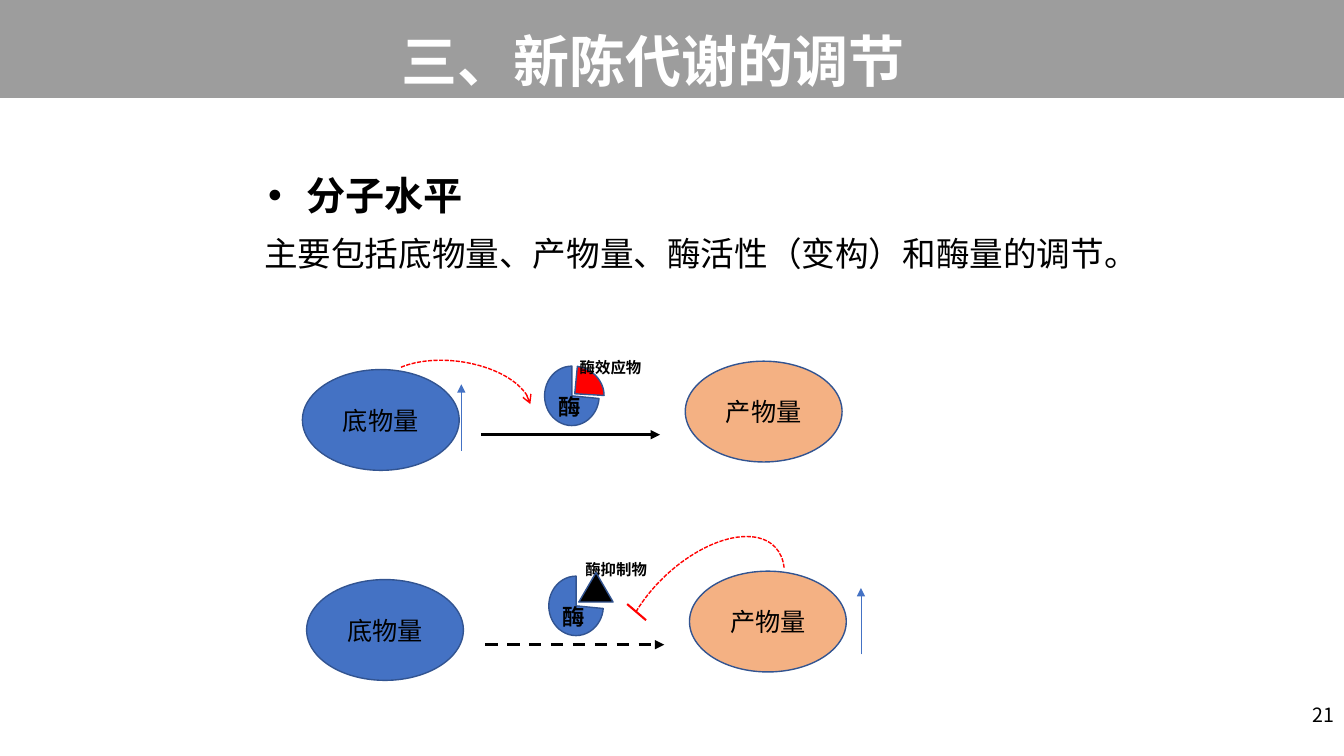
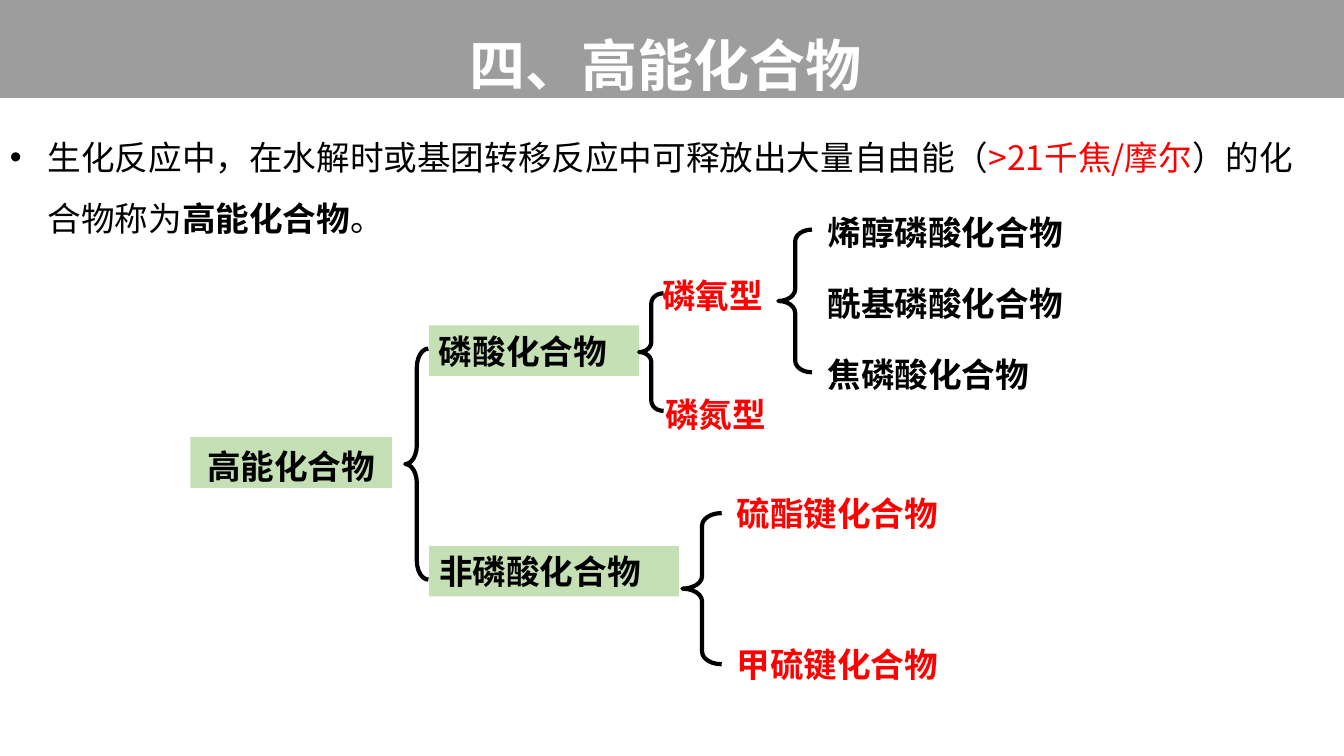
from lxml import etree
from pptx import Presentation
from pptx import util as u
from pptx.dml import color
from pptx.enum import dml, shapes, text
from pptx.oxml import ns

Pt = u.Pt
SHAPE = shapes.MSO_SHAPE
ALIGN = text.PP_ALIGN
ANCHOR = text.MSO_ANCHOR
DASH = dml.MSO_LINE


class Deck:
    FONT = "Noto Sans CJK SC"
    COLORS = {
        "band": "262626",
        "white": "FFFFFF",
        "black": "000000",
        "red": "FF0000",
        "blue": "4472C4",
        "outline": "325491",
        "orange": "F4B183",
        "green": "C5E0B4",
    }

    def __init__(self):
        self.prs = Presentation()
        self.prs.slide_width, self.prs.slide_height = Pt(960), Pt(540)
        self.layout = self.prs.slide_layouts[5]
        self.s = None

    def rgb(self, name):
        return color.RGBColor.from_string(self.COLORS[name])

    def child(self, parent, tag, **attrs):
        return etree.SubElement(parent, ns.qn(tag), attrs)

    def slide(self, title, left, top, width):
        self.s = self.prs.slides.add_slide(self.layout)
        sp = self.s.shapes.title
        sp.left, sp.top, sp.width, sp.height = Pt(left), Pt(top), Pt(width), Pt(71)
        self.fill_text(sp, title, 40, "white", bold=True, spacing=1.5, wrap=False)

    def band(self):
        sp = self.shape(SHAPE.RECTANGLE, (-0.5, 0, 961, 70), "band")
        fill = sp.element.xpath("p:spPr/a:solidFill/a:srgbClr")[0]
        self.child(fill, "a:alpha", val="45000")
        sp.element.xpath("p:nvSpPr/p:cNvPr")[0].set("id", "20")
        self.layout.shapes.element.insert(2, sp.element)

    def fill_text(self, sp, content, size, ink="black", bold=False, align=ALIGN.LEFT,
                  anchor=ANCHOR.TOP, spacing=1.0, wrap=True, bullet=False):
        tf = sp.text_frame
        tf.word_wrap = wrap
        tf.auto_size = text.MSO_AUTO_SIZE.NONE
        tf.vertical_anchor = anchor
        p = tf.paragraphs[0]
        if bullet:
            pPr = p._p.get_or_add_pPr()
            pPr.set("marL", str(Pt(27)))
            pPr.set("indent", str(Pt(-27)))
            self.child(pPr, "a:buFont", typeface="Arial")
            self.child(pPr, "a:buChar", char="•")
        p.alignment = align
        p.line_spacing = spacing
        parts = [(content, ink, bold)] if isinstance(content, str) else content
        for part, part_ink, part_bold in parts:
            r = p.add_run()
            r.text = part
            r.font.size = Pt(size)
            r.font.bold = part_bold
            r.font.name = self.FONT
            r.font.color.rgb = self.rgb(part_ink)
            self.child(r.font._element, "a:ea", typeface=self.FONT)

    def text(self, box, content, size, **style):
        sp = self.s.shapes.add_textbox(*map(Pt, box))
        self.fill_text(sp, content, size, **style)

    def stroke(self, sp, ink, width, dash=None, head=None):
        sp.line.color.rgb = self.rgb(ink)
        sp.line.width = Pt(width)
        if dash:
            sp.line.dash_style = dash
        if head:
            self.child(sp.element.xpath("p:spPr/a:ln")[0], "a:tailEnd", type=head)

    def shape(self, kind, box, fill=None, line=None, adj=(), rotation=0):
        sp = self.s.shapes.add_shape(kind, *map(Pt, box))
        sp.shadow.inherit = False
        sp.rotation = rotation
        for i, value in enumerate(adj):
            sp.adjustments[i] = value
        if fill:
            sp.fill.solid()
            sp.fill.fore_color.rgb = self.rgb(fill)
        else:
            sp.fill.background()
        if line:
            self.stroke(sp, *line)
        else:
            sp.line.fill.background()
        return sp

    def sector(self, kind, box, start, end, **style):
        return self.shape(kind, box, adj=(start * 0.6, end * 0.6), **style)

    def line(self, start, end, *style):
        sp = self.s.shapes.add_connector(shapes.MSO_CONNECTOR.STRAIGHT,
                                         *map(Pt, (*start, *end)))
        self.stroke(sp, *style)
        self.child(sp.element.spPr, "a:effectLst")

    def oval(self, box, label, fill):
        sp = self.shape(SHAPE.OVAL, box, fill, ("outline", 1))
        self.fill_text(sp, label, 18, align=ALIGN.CENTER, anchor=ANCHOR.MIDDLE)

    def tag(self, box, label, **style):
        sp = self.shape(SHAPE.RECTANGLE, box, "green")
        self.fill_text(sp, label, 24, bold=True, **style)

    def brace(self, box, curve):
        self.shape(SHAPE.LEFT_BRACE, box, line=("black", 3), adj=(curve, 0.5))

    def reaction(self, dx, dy, dash=None):
        self.oval((216 + dx, 264 + dy, 112, 72), "底物量", "blue")
        self.line((343.5 + dx, 310.5 + dy), (471.5 + dx, 310.5 + dy),
                  "black", 2.25, dash, "triangle")
        self.oval((489.5 + dx, 258 + dy, 112, 72), "产物量", "orange")
        self.sector(SHAPE.PIE, (389 + dx, 261.5 + dy, 39, 42.5), 5.55, 270,
                    fill="blue", line=("outline", 1))
        self.text((392 + dx, 277 + dy, 31, 27), "酶", 16, bold=True, wrap=False)

    def rise(self, x, bottom):
        self.line((x, bottom), (x, bottom - 47.5), "blue", 0.5, None, "triangle")


def regulation(deck):
    deck.slide("三、新陈代谢的调节", 279.5, -8.5, 390)
    deck.band()
    deck.text((184.5, 102, 246, 52), "分子水平", 28, bold=True,
              align=ALIGN.JUSTIFY, spacing=1.5, bullet=True)
    deck.text((792, 492, 168, 37), "21", 14, align=ALIGN.RIGHT, anchor=ANCHOR.MIDDLE)
    deck.text((181.5, 162.5, 644.5, 65.5),
              "主要包括底物量、产物量、酶活性（变构）和酶量的调节。", 24, wrap=False)

    deck.reaction(0, 0)
    deck.sector(SHAPE.ARC, (269.5, 258, 110, 57.5), 205.08, 354.48, rotation=7.6,
                line=("red", 1, DASH.SQUARE_DOT, "arrow"))
    deck.sector(SHAPE.PIE, (391, 260, 39, 42.5), 162.4, 250.18, rotation=113.2,
                fill="red", line=("outline", 1))
    deck.text((407, 252, 59, 21), "酶效应物", 11, bold=True, wrap=False)
    deck.rise(329.5, 322)

    deck.reaction(3, 150, DASH.DASH)
    deck.sector(SHAPE.ARC, (430, 401, 143.5, 78.5), 227.53, 12.8, rotation=316.4,
                line=("red", 1, DASH.SQUARE_DOT))
    deck.line((461.5, 443), (448, 431.5), "red", 1.5)
    deck.text((411, 396.5, 59, 21), "酶抑制物", 11, bold=True, wrap=False)
    deck.shape(SHAPE.ISOSCELES_TRIANGLE, (413.5, 409, 24.5, 21), "black", ("outline", 1))
    deck.rise(615, 467.5)


def compounds(deck):
    deck.slide("四、高能化合物", 328.5, -5.5, 309.5)
    deck.text((0, 80, 951, 89), [
        ("生化反应中，在水解时或基团转移反应中可释放出大量自由能（", "black", False),
        (">21千焦/摩尔", "red", False),
        ("）的化合物称为", "black", False),
        ("高能化合物", "black", True),
        ("。", "black", False),
    ], 24, spacing=1.5, bullet=True)

    deck.tag((136, 312, 144, 36.5), "高能化合物", align=ALIGN.CENTER, spacing=1.1)
    deck.tag((306.5, 232.5, 150, 36), "磷酸化合物")
    deck.tag((306.5, 390, 178.5, 36), "非磷酸化合物")

    for box, curve in (
        ((289.5, 249, 16.5, 165), 0.82),
        ((456.5, 209.5, 17.5, 84), 0.41),
        ((487.5, 366.5, 28, 108), 0.32),
        ((556, 164, 24, 102), 0.35),
    ):
        deck.brace(box, curve)

    for left, top, width, label in (
        (466, 193, 91, "磷氧型"),
        (468, 278, 91, "磷氮型"),
        (519, 348.5, 204, "硫酯键化合物"),
        (519, 456.5, 204, "甲硫键化合物"),
    ):
        deck.text((left, top, width, 36), label, 24, ink="red", bold=True)

    for i, label in enumerate(("烯醇磷酸化合物", "酰基磷酸化合物", "焦磷酸化合物")):
        deck.text((584, 147.5 + 50.8 * i, 220, 36), label, 24, bold=True)


def main():
    deck = Deck()
    regulation(deck)
    compounds(deck)
    deck.prs.save("out.pptx")


if __name__ == "__main__":
    main()
